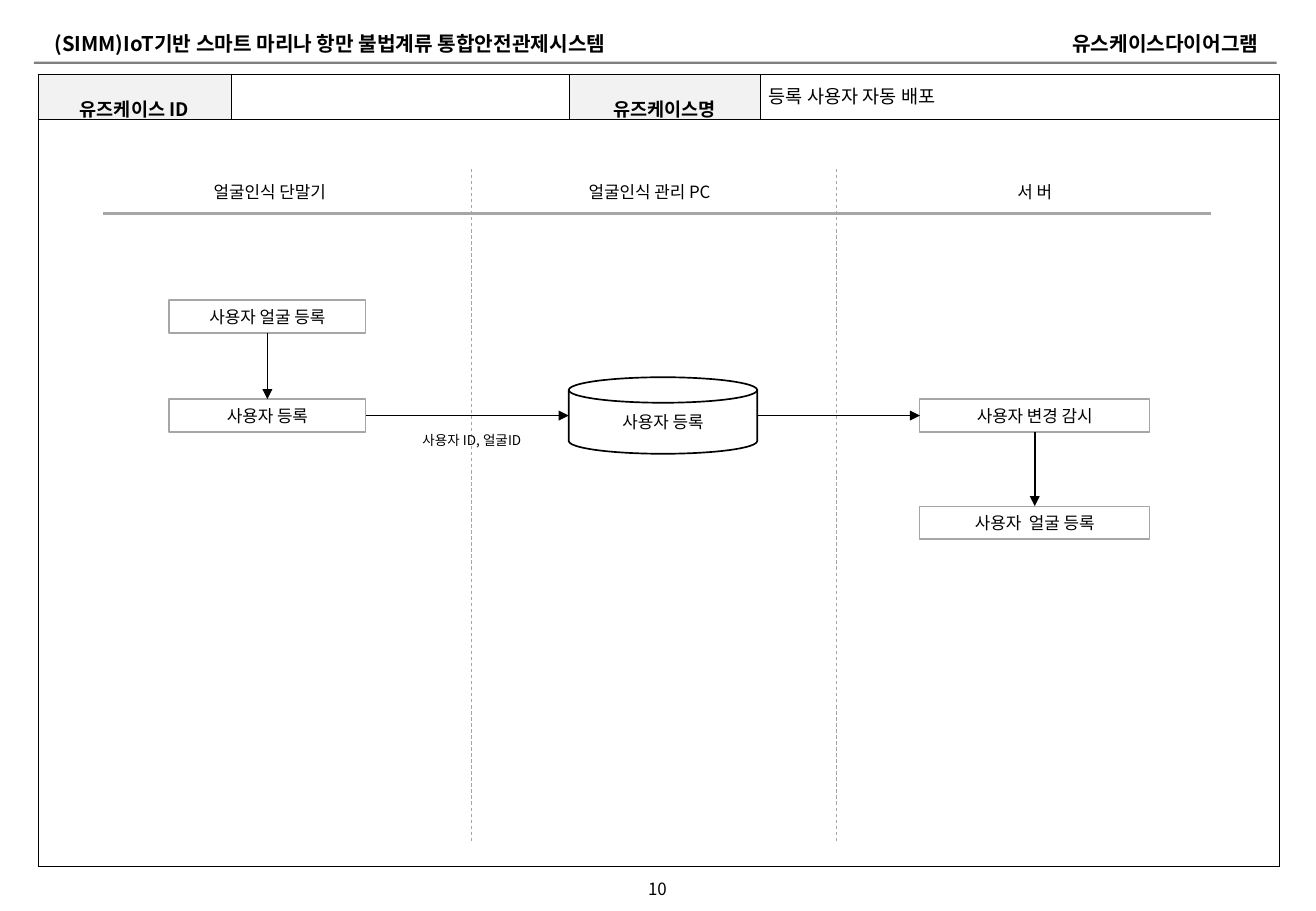
from lxml import etree
from pptx import Presentation
from pptx.dml.color import RGBColor
from pptx.enum import dml, shapes, text
from pptx.oxml import ns
from pptx.util import Cm, Pt

FONT = "Noto Sans CJK KR"
BLACK, WHITE, GRAY, RULE, HEADING = "000000", "FFFFFF", "A6A6A6", "808080", "F2F2F2"
LEFT, CENTER, RIGHT = text.PP_ALIGN.LEFT, text.PP_ALIGN.CENTER, text.PP_ALIGN.RIGHT
STEP_HEIGHT = 0.69


def color(value):
    """Turn a hex string into a colour."""
    return RGBColor.from_string(value)


def child(parent, tag, **attributes):
    """Append a drawing element to its parent."""
    return etree.SubElement(parent, ns.qn("a:" + tag), attributes)


def write(paragraph, words, size, bold=False, align=CENTER):
    """Add one styled run to a paragraph."""
    paragraph.alignment = align
    run = paragraph.add_run()
    run.text = words
    run.font.size, run.font.bold, run.font.name = Pt(size), bold, FONT
    run.font.color.rgb = color(BLACK)
    child(run.font._element, "ea", typeface=FONT)


def fill_frame(shape, words, size, bold=False, align=CENTER):
    """Put vertically centred text in a shape."""
    frame = shape.text_frame
    frame.word_wrap = True
    frame.vertical_anchor = text.MSO_ANCHOR.MIDDLE
    frame.margin_top = frame.margin_bottom = Cm(0)
    write(frame.paragraphs[0], words, size, bold, align)


def add_text(slide, box, words, size, bold=False, align=CENTER):
    """Add a text box."""
    shape = slide.shapes.add_textbox(*map(Cm, box))
    fill_frame(shape, words, size, bold, align)


def add_box(slide, kind, box, fill=None, line=None, width=0.75):
    """Add a plain preset shape."""
    shape = slide.shapes.add_shape(kind, *map(Cm, box))
    shape.shadow.inherit = False
    if fill:
        shape.fill.solid()
        shape.fill.fore_color.rgb = color(fill)
    else:
        shape.fill.background()
    if line:
        shape.line.color.rgb = color(line)
        shape.line.width = Pt(width)
    else:
        shape.line.fill.background()
    return shape


def add_line(slide, start, end, line, width, dashed=False, arrow=False):
    """Add a straight line, dashed or with an arrowhead on request."""
    connector = slide.shapes.add_connector(shapes.MSO_CONNECTOR.STRAIGHT, *start, *end)
    connector.line.color.rgb = color(line)
    connector.line.width = Pt(width)
    if dashed:
        connector.line.dash_style = dml.MSO_LINE.DASH
    if arrow:
        child(connector.line._get_or_add_ln(), "tailEnd", type="triangle")
    child(connector._element.spPr, "effectLst")


def arrow_down(slide, upper, lower):
    """Join two stacked steps."""
    middle = upper.left + upper.width // 2
    add_line(slide, (middle, upper.top + upper.height), (middle, lower.top), BLACK, 1, arrow=True)


def arrow_right(slide, source, target):
    """Join two steps side by side."""
    middle = source.top + source.height // 2
    add_line(slide, (source.left + source.width, middle), (target.left, middle), BLACK, 1, arrow=True)


def style_cell(cell, fill, right_width):
    """Give a cell its borders and fill."""
    properties = cell._tc.get_or_add_tcPr()
    for side in ("lnL", "lnR", "lnT", "lnB"):
        width = right_width if side == "lnR" else 0.28
        border = child(properties, side, w=str(Pt(width)))
        child(child(border, "solidFill"), "srgbClr", val=BLACK)
    cell.fill.solid()
    cell.fill.fore_color.rgb = color(fill)


def add_header(slide, box):
    """Place the system name, the document type and the rule below."""
    left, top, width, height = box
    inner = (left + 0.18, top, width - 0.31, height)
    add_text(slide, inner, "(SIMM)IoT기반 스마트 마리나 항만 불법계류 통합안전관제시스템", 12, True, LEFT)
    add_text(slide, inner, "유스케이스다이어그램", 12, True, RIGHT)
    add_box(slide, shapes.MSO_SHAPE.RECTANGLE, (left, top + height, width, 0.05), RULE)


def add_form(slide, box):
    """Place the use case form and its value."""
    left, top, width, height = box
    table = slide.shapes.add_table(2, 4, *map(Cm, box)).table
    table.first_row = table.horz_banding = False
    for column, size in zip(table.columns, (4.04, 7.06, 4.01, 10.85)):
        column.width = Cm(size)
    for row, size in zip(table.rows, (0.79, height - 0.79)):
        row.height = Cm(size)
    titles = {0: "유즈케이스 ID", 2: "유즈케이스명"}
    for row in range(2):
        for column in range(4):
            cell = table.cell(row, column)
            title = titles.get(column) if row == 0 else None
            style_cell(cell, HEADING if title else WHITE, 1 if row else 0.28)
            cell.margin_left = cell.margin_right = cell.margin_top = cell.margin_bottom = Cm(0.1)
            cell.vertical_anchor = text.MSO_ANCHOR.MIDDLE
            paragraph = cell.text_frame.paragraphs[0]
            if title:
                paragraph.line_spacing = 1.6
                write(paragraph, title, 11, True)
            else:
                child(paragraph._p, "endParaRPr", sz="1000")
    table.cell(1, 0).merge(table.cell(1, 3))
    add_text(slide, (left + 15.03, top + 0.08, 10.8, 0.74), "등록 사용자 자동 배포", 11, align=LEFT)


def add_lanes(slide, box):
    """Place the lane titles, the line below them and the dividers."""
    left, top, width, height = box
    for center, title in ((4.85, "얼굴인식 단말기"), (12.79, "얼굴인식 관리 PC"), (20.84, "서 버")):
        add_text(slide, (left + center - 2.5, top + 1.17, 5, STEP_HEIGHT), title, 10)
    level = Cm(top + 1.98)
    add_line(slide, (Cm(left + 1.37), level), (Cm(left + width - 1.43), level), GRAY, 1.5)
    for divider in (9.07, 16.69):
        across = Cm(left + divider)
        add_line(slide, (across, Cm(top + 1.04)), (across, Cm(top + height - 0.51)), GRAY, 0.5, dashed=True)


def add_flow(slide, box):
    """Place the steps, the store and the arrows between them."""
    left, top = box[:2]

    def step(center, middle, width, words):
        """Add a boxed step around a centre point."""
        place = (left + center - width / 2, top + middle - STEP_HEIGHT / 2, width, STEP_HEIGHT)
        shape = add_box(slide, shapes.MSO_SHAPE.RECTANGLE, place, WHITE, GRAY)
        fill_frame(shape, words, 10)
        return shape

    face = step(4.8, 4.13, 4.11, "사용자 얼굴 등록")
    user = step(4.8, 6.2, 4.11, "사용자 등록")
    watch = step(20.84, 6.2, 4.8, "사용자 변경 감시")
    server_face = step(20.84, 8.44, 4.8, "사용자  얼굴 등록")
    store = add_box(slide, shapes.MSO_SHAPE.FLOWCHART_MAGNETIC_DISK,
                    (left + 11.1, top + 5.4, 3.94, 1.6), line=BLACK, width=1)
    fill_frame(store, "사용자 등록", 10)
    arrow_down(slide, face, user)
    arrow_down(slide, watch, server_face)
    arrow_right(slide, user, store)
    arrow_right(slide, store, watch)
    add_text(slide, (left + 6.65, top + 6.4, 4.85, 0.61), "사용자 ID, 얼굴ID", 8)


def build():
    """Build and save the slide."""
    presentation = Presentation()
    presentation.slide_width, presentation.slide_height = Cm(27.51), Cm(19.05)
    slide = presentation.slides.add_slide(presentation.slide_layouts[6])
    diagram = (0.79, 2.49, 25.96, 15.62)
    add_header(slide, (0.71, 0.53, 25.98, 0.76))
    add_form(slide, (0.79, 1.55, 25.96, 16.41))
    add_lanes(slide, diagram)
    add_flow(slide, diagram)
    add_text(slide, (13.26, 18.24, 0.97, STEP_HEIGHT), "10", 10)
    presentation.save("out.pptx")


build()
